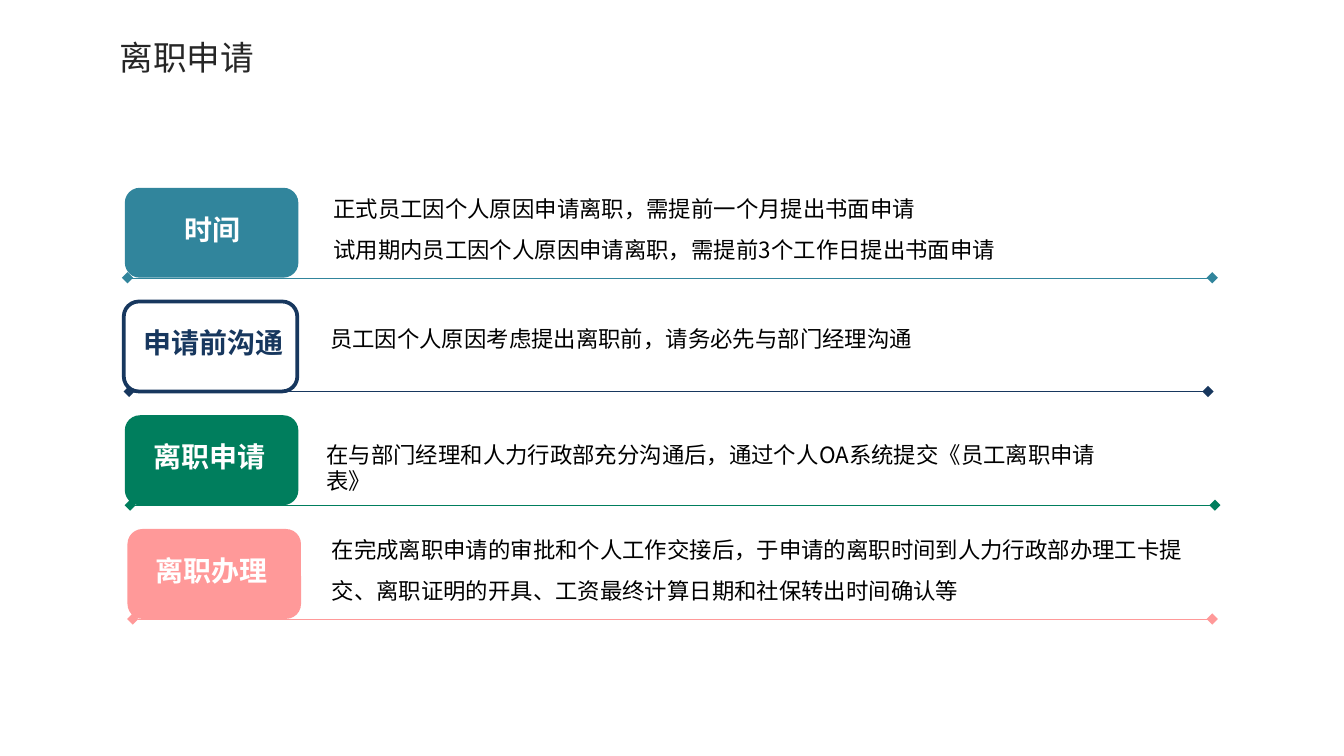
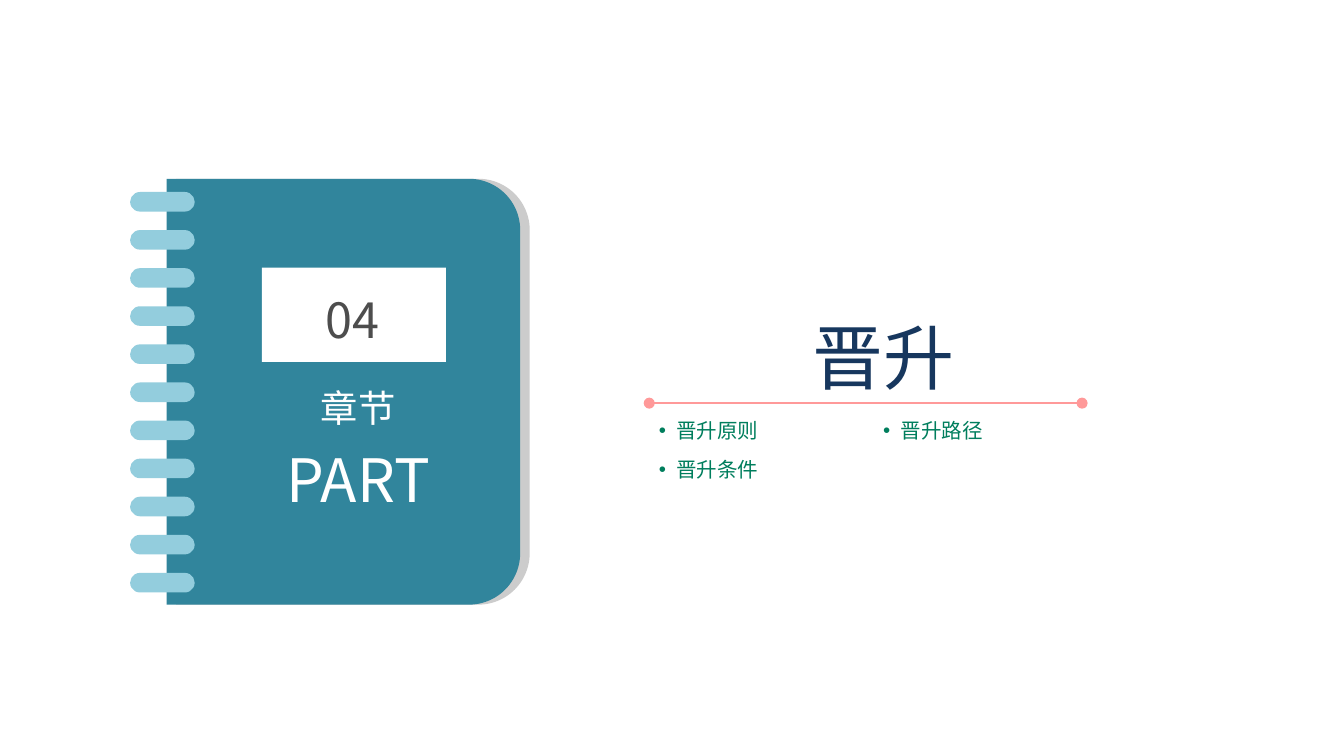
from dataclasses import dataclass

from lxml.etree import SubElement
from pptx import Presentation
from pptx.dml.color import RGBColor
from pptx.enum.dml import MSO_LINE
from pptx.enum.shapes import MSO_CONNECTOR, MSO_SHAPE
from pptx.enum.text import MSO_ANCHOR, MSO_AUTO_SIZE, PP_ALIGN
from pptx.oxml.ns import qn
from pptx.util import Cm, Pt


@dataclass(frozen=True)
class Theme:
    teal: str = "31859C"
    light_teal: str = "93CDDD"
    navy: str = "17375E"
    green: str = "007E5D"
    pink: str = "FF9999"
    white: str = "FFFFFF"
    black: str = "000000"
    heading_ink: str = "262626"
    number_ink: str = "4D4D4D"
    shade: str = "CCCCCC"
    sans: str = "Noto Sans CJK SC"
    latin: str = "Arial"
    heading: float = 18
    label: float = 15
    body: float = 12
    bullet: float = 11
    section: float = 38
    number: float = 26
    chapter: float = 20
    chapter_english: float = 32


theme = Theme()


def write(box, place, lines, color, font=theme.sans, align=PP_ALIGN.LEFT,
          inset=(0.25, 0.13), wrap=True, bold=False, leading=None, gap=0, bullet=False):
    """Place a box and fill it with (text, size) lines; gap is the space between them."""
    box.left, box.top, box.width, box.height = (Cm(length) for length in place)
    frame = box.text_frame
    frame.auto_size = MSO_AUTO_SIZE.NONE
    frame.word_wrap = wrap
    frame.vertical_anchor = MSO_ANCHOR.TOP
    frame.margin_left = frame.margin_right = Cm(inset[0])
    frame.margin_top = frame.margin_bottom = Cm(inset[1])
    for index, (text, size) in enumerate(lines):
        para = frame.paragraphs[0] if index == 0 else frame.add_paragraph()
        para.text = text
        para.alignment = align
        para.space_before = Pt(gap if index else 0)
        if leading:
            para.line_spacing = Pt(leading)
        properties = para._p.get_or_add_pPr()
        if bullet:
            properties.set("marL", str(Cm(0.33)))
            properties.set("indent", str(-Cm(0.33)))
            SubElement(properties, qn("a:buChar"), char="•")
        para.font.size = Pt(size)
        para.font.bold = bold
        para.font.color.rgb = RGBColor.from_string(color)
        para.font.name = font
        SubElement(properties.find(qn("a:defRPr")), qn("a:ea"), typeface=font)


def add_rule(page, left, right, height, color, width, ends, dash=None):
    """Draw a level line with the same marker at both ends."""
    rule = page.shapes.add_connector(
        MSO_CONNECTOR.STRAIGHT, Cm(left), Cm(height), Cm(right), Cm(height))
    rule.line.color.rgb = RGBColor.from_string(color)
    rule.line.width = Pt(width)
    if dash:
        rule.line.dash_style = dash
    outline = rule._element.spPr.find(qn("a:ln"))
    for end in ("a:headEnd", "a:tailEnd"):
        SubElement(outline, qn(end), type=ends)
    SubElement(rule._element.spPr, qn("a:effectLst"))


deck = Presentation()
deck.slide_width, deck.slide_height = Cm(25.4), Cm(14.29)

# Slide 1: leaving the company, step by step
page = deck.slides.add_slide(deck.slide_layouts[5])
write(page.shapes.title, (2.01, 0.56, 3.07, 1.02), [("离职申请", theme.heading)],
      theme.heading_ink, wrap=False)

# label, colour, filled, tab left, label place (left, width), rule ends,
# text place, line spacing, text lines
steps = [
    ("时间", theme.teal, True, 2.36, (3.23, 1.57), (2.41, 22.91),
     (6.05, 3.68, 17.02, 1.45), 11,
     ["正式员工因个人原因申请离职，需提前一个月提出书面申请",
      "试用期内员工因个人原因申请离职，需提前3个工作日提出书面申请"]),
    ("申请前沟通", theme.navy, False, 2.34, (2.44, 3.18), (2.44, 22.83),
     (5.99, 6.02, 12.95, 0.76), None,
     ["员工因个人原因考虑提出离职前，请务必先与部门经理沟通"]),
    ("离职申请", theme.green, True, 2.36, (2.64, 2.64), (2.46, 22.96),
     (5.92, 8.2, 15.8, 0.76), None,
     ["在与部门经理和人力行政部充分沟通后，通过个人OA系统提交《员工离职申请表》"]),
    ("离职办理", theme.pink, True, 2.41, (2.67, 2.64), (2.51, 22.91),
     (6.02, 10.13, 16.92, 1.27), 11,
     ["在完成离职申请的审批和个人工作交接后，于申请的离职时间到人力行政部办理工卡提",
      "交、离职证明的开具、工资最终计算日期和社保转出时间确认等"]),
]
for index, (label, color, filled, left, label_place, ends, place, leading, texts) in enumerate(steps):
    top = 3.55 + index * 2.15
    tab = page.shapes.add_shape(
        MSO_SHAPE.ROUNDED_RECTANGLE, Cm(left), Cm(top), Cm(3.28), Cm(1.7))
    tab.shadow.inherit = False
    if filled:
        tab.fill.solid()
        tab.fill.fore_color.rgb = RGBColor.from_string(color)
        tab.line.fill.background()
    else:
        tab.fill.background()
        tab.line.color.rgb = RGBColor.from_string(color)
        tab.line.width = Pt(2)
    label_left, label_width = label_place
    write(page.shapes.add_textbox(0, 0, 0, 0), (label_left, top + 0.33, label_width, 0.89),
          [(label, theme.label)], theme.white if filled else color,
          align=PP_ALIGN.CENTER, wrap=False, bold=True)
    write(page.shapes.add_textbox(0, 0, 0, 0), place,
          [(text, theme.body) for text in texts], theme.black, leading=leading, gap=11)
    add_rule(page, *ends, top + 1.7, color, 0.25, "diamond", MSO_LINE.ROUND_DOT)

# Slide 2: chapter opener with a ring-bound notebook
page = deck.slides.add_slide(deck.slide_layouts[3])
add_rule(page, 12.27, 20.45, 7.62, theme.pink, 1, "oval")
title, first_list, second_list = page.placeholders
write(title, (12.27, 5.92, 8.84, 1.65), [("晋升", theme.section)], theme.navy,
      font=theme.latin, align=PP_ALIGN.CENTER, inset=(0, 0))
for column, left, topics in (
    (first_list, 12.27, ["晋升原则", "晋升条件"]),
    (second_list, 16.51, ["晋升路径"]),
):
    write(column, (left, 7.8, 2.29, 0.66 + 0.74 * (len(topics) - 1)),
          [(topic, theme.bullet) for topic in topics], theme.green,
          font=theme.latin, inset=(0.18, 0.1), wrap=False, gap=7.7, bullet=True)

# The covers are turned a quarter so that their rounded corners face right.
cover_width, cover_height = 6.68, 8.05
turn = (cover_height - cover_width) / 2
notebook = [
    (MSO_SHAPE.ROUND_2_SAME_RECTANGLE, left - turn, 3.38 + turn,
     cover_height, cover_width, color, 90, [0.145, 0])
    for left, color in ((3.33, theme.shade), (3.15, theme.teal))
]
notebook.append((MSO_SHAPE.RECTANGLE, 4.95, 5.06, 3.48, 1.78, theme.white, 0, []))
notebook += [
    (MSO_SHAPE.ROUNDED_RECTANGLE, 2.46, 3.63 + ring * 0.72, 1.22, 0.37,
     theme.light_teal, 0, [0.5])
    for ring in range(11)
]
for kind, left, top, width, height, color, rotation, corners in notebook:
    piece = page.shapes.add_shape(kind, Cm(left), Cm(top), Cm(width), Cm(height))
    piece.shadow.inherit = False
    piece.fill.solid()
    piece.fill.fore_color.rgb = RGBColor.from_string(color)
    piece.line.fill.background()
    piece.rotation = rotation
    for index, corner in enumerate(corners):
        piece.adjustments[index] = corner

write(page.shapes.add_textbox(0, 0, 0, 0), (5.03, 5.49, 3.28, 1.12),
      [("04", theme.number)], theme.number_ink, align=PP_ALIGN.CENTER, inset=(0, 0))
write(page.shapes.add_textbox(0, 0, 0, 0), (5.21, 7.29, 3.12, 2.49),
      [("章节", theme.chapter), ("PART", theme.chapter_english)], theme.white,
      align=PP_ALIGN.CENTER, inset=(0, 0), gap=6.4)

deck.save("out.pptx")
